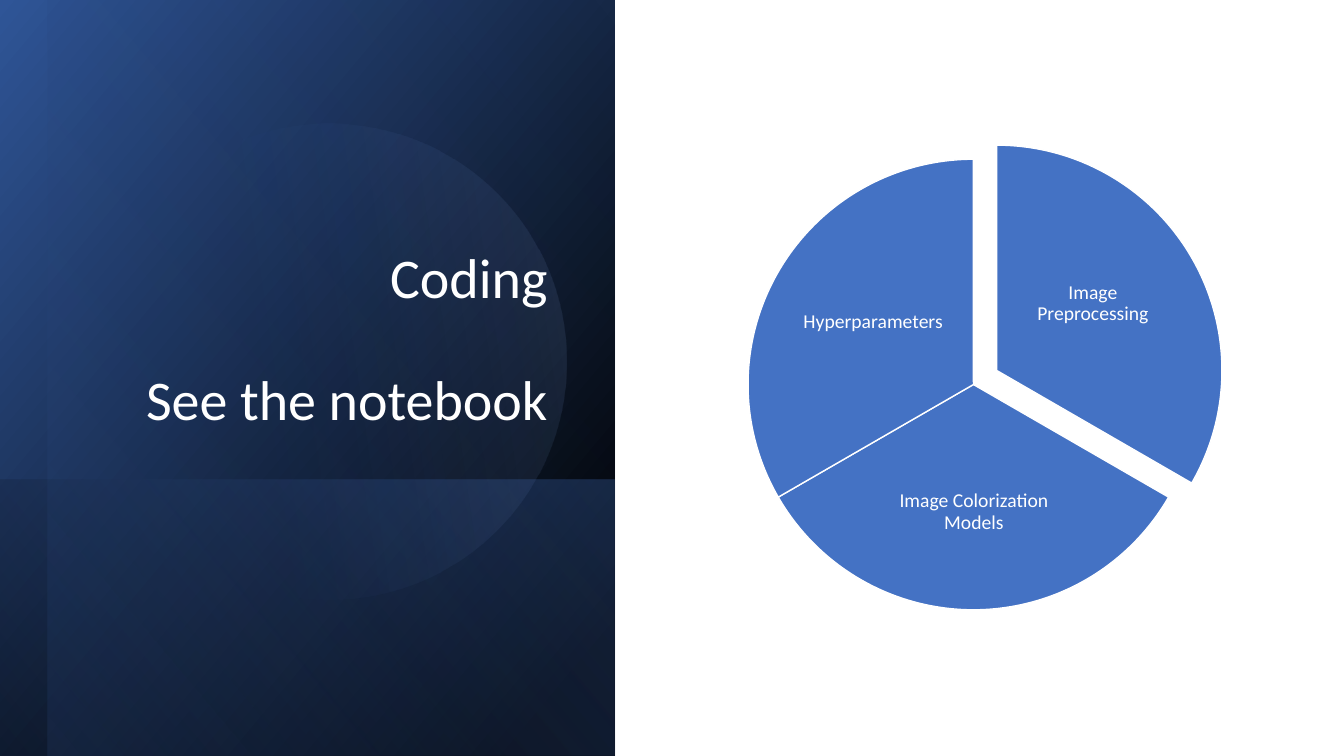
from dataclasses import dataclass

from pptx import Presentation
from pptx.dml.color import RGBColor
from pptx.enum.shapes import MSO_SHAPE
from pptx.enum.text import MSO_ANCHOR, MSO_AUTO_SIZE, PP_ALIGN
from pptx.oxml import parse_xml
from pptx.oxml.ns import nsdecls, qn
from pptx.util import Inches, Pt

RECT, OVAL, PIE = MSO_SHAPE.RECTANGLE, MSO_SHAPE.OVAL, MSO_SHAPE.PIE
MIDDLE, BOTTOM = MSO_ANCHOR.MIDDLE, MSO_ANCHOR.BOTTOM
CENTER, RIGHT = PP_ALIGN.CENTER, PP_ALIGN.RIGHT
NO_FIT = MSO_AUTO_SIZE.NONE


@dataclass(frozen=True)
class Theme:
    """Colours, font and type sizes of the slide."""
    black: str = "000000"
    white: str = "FFFFFF"
    navy: str = "2F5597"
    blue: str = "4472C4"
    pale: str = "8FAADC"
    font: str = "Calibri"
    title_size: int = 40
    label_size: int = 14


THEME = Theme()

PANELS = [
    (RECT, (-0.7, 0.7, 7.5, 6.1), 90, 50,
     [(8, THEME.black, 100), (100, THEME.navy, 100)]),
    (RECT, (1.67, 3.08, 2.74, 6.1), 90, 130,
     [(2, THEME.blue, 29), (100, THEME.black, 30)]),
    (RECT, (-0.46, 0.93, 7.5, 5.63), 90, 130,
     [(0, THEME.black, 0), (99, THEME.blue, 11)]),
    (OVAL, (0.9, 1.23, 4.72, 4.72), 101.6, 290,
     [(39, THEME.blue, 0), (100, THEME.pale, 15)]),
]

PIE_SIZE = 4.47
WEDGES = [
    ("Image Preprocessing", (7.65, 1.44), (10.08, 2.27, 1.52, 1.49)),
    ("Image Colorization Models", (7.42, 1.58), (8.65, 4.39, 2.02, 1.38)),
    ("Hyperparameters", (7.42, 1.58), (7.9, 2.45, 1.52, 1.49)),
]


def box(*lengths):
    """Turn numbers into lengths in inches."""
    return [Inches(n) for n in lengths]


def write(tf, text, *, size, align, anchor, gap=0, inset=None):
    """Fill a text frame with one paragraph for each line of text."""
    tf.word_wrap = True
    tf.auto_size = NO_FIT
    tf.vertical_anchor = anchor
    if inset is not None:
        tf.margin_left = tf.margin_right = Inches(inset)
        tf.margin_top = tf.margin_bottom = Inches(inset)
    for i, line in enumerate(text.split("\n")):
        p = tf.add_paragraph() if i else tf.paragraphs[0]
        p.alignment = align
        p.line_spacing = 0.9
        p.space_before = Pt(gap if i else 0)
        r = p.add_run()
        r.text = line
        r.font.name = THEME.font
        r.font.size = Pt(size)
        r.font.color.rgb = RGBColor.from_string(THEME.white)


def add_shape(shapes, kind, place, color):
    """Add a flat preset shape without a shadow."""
    sp = shapes.add_shape(kind, *box(*place))
    sp.shadow.inherit = False
    sp.fill.solid()
    sp.fill.fore_color.rgb = RGBColor.from_string(color)
    return sp


def add_panel(shapes, kind, place, rotation, angle, stops):
    """Add a mirrored, rotated shape with a translucent gradient."""
    sp = add_shape(shapes, kind, place, THEME.black)
    sp.line.fill.background()
    sp.rotation = rotation
    spPr = sp.element.spPr
    spPr.find(qn("a:xfrm")).set("flipH", "1")
    gs = "".join(
        f'<a:gs pos="{pos * 1000}"><a:srgbClr val="{color}">'
        f'<a:alpha val="{alpha * 1000}"/></a:srgbClr></a:gs>'
        for pos, color, alpha in stops)
    gradient = parse_xml(
        f'<a:gradFill {nsdecls("a")} rotWithShape="1"><a:gsLst>{gs}</a:gsLst>'
        f'<a:lin ang="{angle * 60000}" scaled="0"/></a:gradFill>')
    spPr.replace(spPr.find(qn("a:solidFill")), gradient)


def add_title(s, text):
    """Place the title above the panels and format it."""
    sp = s.shapes.title
    sp.element.getparent().append(sp.element)
    sp.left, sp.top, sp.width, sp.height = box(0.9, 0.64, 4.63, 3.7)
    write(sp.text_frame, text, size=THEME.title_size, align=RIGHT,
          anchor=BOTTOM, gap=44)


def add_wedge(shapes, index, text, corner, label_place):
    """Add one third of the pie, clockwise from the top, with its label."""
    sp = add_shape(shapes, PIE, (*corner, PIE_SIZE, PIE_SIZE), THEME.blue)
    sp.line.color.rgb = RGBColor.from_string(THEME.white)
    sp.line.width = Pt(1)
    for i in range(2):
        sp.adjustments[i] = (162 + 72 * (index + i)) % 216
    label = shapes.add_textbox(*box(*label_place))
    write(label.text_frame, text, size=THEME.label_size, align=CENTER,
          anchor=MIDDLE, inset=0.02)


def main():
    """Build the slide and save it."""
    prs = Presentation()
    prs.slide_width, prs.slide_height = box(13.33, 7.5)
    s = prs.slides.add_slide(prs.slide_layouts[5])
    for panel in PANELS:
        add_panel(s.shapes, *panel)
    add_title(s, "Coding\nSee the notebook")
    pie = s.shapes.add_group_shape()
    for i, wedge in enumerate(WEDGES):
        add_wedge(pie.shapes, i, *wedge)
    prs.save("out.pptx")


if __name__ == "__main__":
    main()
